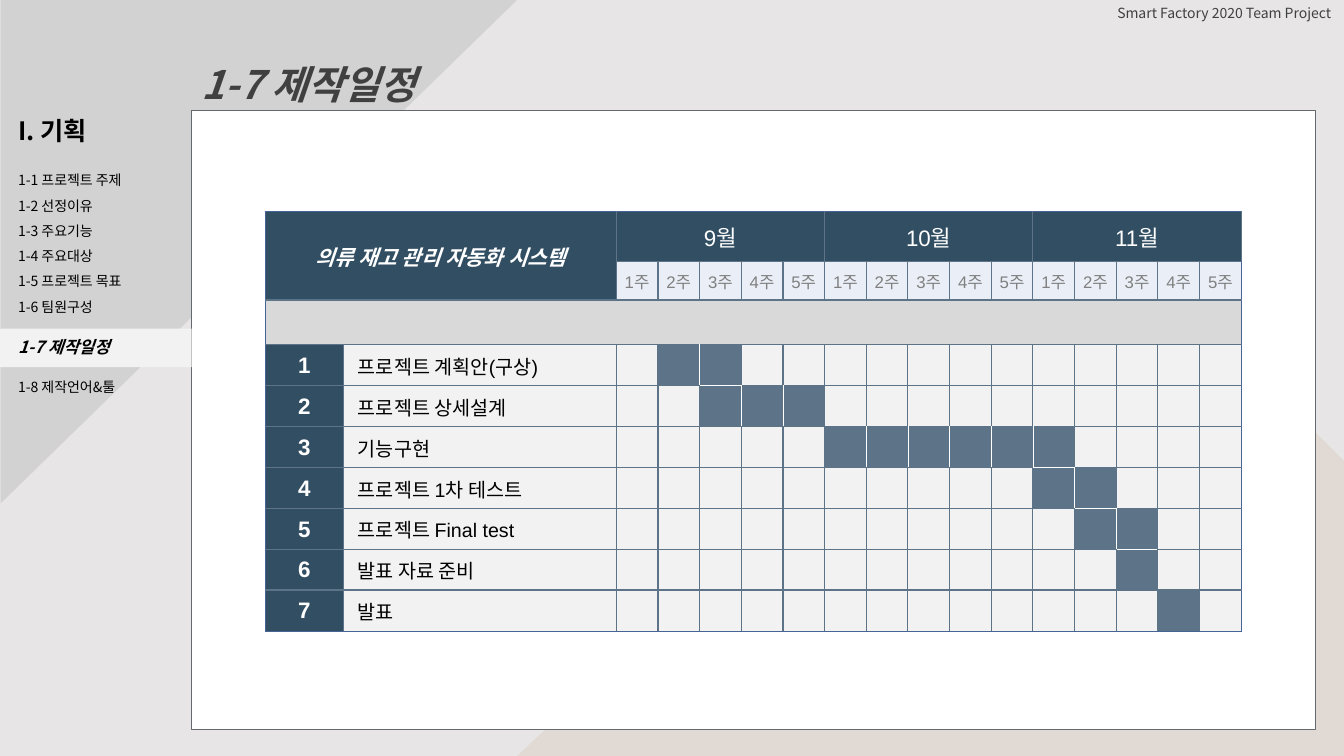
from lxml.etree import SubElement
from pptx import Presentation
from pptx.dml.color import RGBColor
from pptx.enum.shapes import MSO_SHAPE
from pptx.enum.text import MSO_ANCHOR, MSO_AUTO_SIZE, PP_ALIGN
from pptx.oxml.ns import qn
from pptx.util import Cm, Pt

BACKGROUND = RGBColor(0xE7, 0xE5, 0xE6)
BEIGE = RGBColor(0xE1, 0xDA, 0xD4)
CORNER = RGBColor(0xD2, 0xD2, 0xD2)
WHITE = RGBColor(0xFF, 0xFF, 0xFF)
BLACK = RGBColor(0, 0, 0)
DARK = RGBColor(0x40, 0x40, 0x40)
PANEL_LINE = RGBColor(0x64, 0x69, 0x6D)
LIGHT = RGBColor(0xF2, 0xF2, 0xF2)
NAVY = RGBColor(0x32, 0x4E, 0x63)
STEEL = RGBColor(0x5D, 0x73, 0x88)
OUTER = RGBColor(0x47, 0x64, 0x97)
WEEK_FILL = RGBColor(0xEA, 0xEF, 0xF7)
WEEK_TEXT = RGBColor(0x80, 0x80, 0x80)
SPACER = RGBColor(0xD9, 0xD9, 0xD9)

# text, size, bold, italic, space before
SIDE_LIST = [
    ("I. 기획", 18, True, False, 0),
    ("1-1 프로젝트 주제", 10, False, False, 18.5),
    ("1-2 선정이유", 10, False, False, 6),
    ("1-3 주요기능", 10, False, False, 6),
    ("1-4 주요대상", 10, False, False, 6),
    ("1-5 프로젝트 목표", 10, False, False, 6),
    ("1-6 팀원구성", 10, False, False, 6),
    ("1-7 제작일정", 12, True, True, 15.5),
    ("1-8 제작언어&툴", 10, False, False, 15.5),
]
MONTHS = ["9월", "10월", "11월"]
WEEKS_PER_MONTH = 5
# task, first week, last week (counted from 0)
TASKS = [
    ("프로젝트 계획안(구상)", 1, 2),
    ("프로젝트 상세설계", 2, 4),
    ("기능구현", 5, 10),
    ("프로젝트 1차 테스트", 10, 11),
    ("프로젝트 Final test", 11, 12),
    ("발표 자료 준비", 12, 12),
    ("발표", 13, 13),
]
FIRST_WEEK_COL, SPACER_ROW, FIRST_TASK_ROW = 4, 2, 3
COL_WIDTHS = [1.98, 3.23, 2.59] + [1.05] * 16
ROW_HEIGHTS = [1.25, 0.98, 1.13] + [1.03] * len(TASKS)


def is_busy(row, col):
    task = row - FIRST_TASK_ROW
    if not 0 <= task < len(TASKS):
        return False
    return TASKS[task][1] <= col - FIRST_WEEK_COL <= TASKS[task][2]


def edge_style(row, col, next_row, next_col):
    """Return the colour and width of the border towards a neighbouring cell."""
    if not (0 <= next_row < len(ROW_HEIGHTS) and 0 <= next_col < len(COL_WIDTHS)):
        return OUTER, 0.5
    if row == next_row == SPACER_ROW:
        return None, 0
    if is_busy(row, col) and is_busy(next_row, next_col):
        return WHITE, 0.5
    return STEEL, 1


class SlideBuilder:
    font = "Noto Sans CJK KR"
    table_font = "Arial"

    def __init__(self, slide):
        self.slide = slide
        self.shapes = slide.shapes
        slide.background.fill.solid()
        slide.background.fill.fore_color.rgb = BACKGROUND

    def paint(self, sp, fill, line=None):
        sp.shadow.inherit = False
        sp.fill.solid()
        sp.fill.fore_color.rgb = fill
        if line is None:
            sp.line.fill.background()
        else:
            sp.line.color.rgb = line
            sp.line.width = Pt(1)

    def shape(self, kind, left, top, width, height, fill, line=None, rotation=0):
        sp = self.shapes.add_shape(kind, Cm(left), Cm(top), Cm(width), Cm(height))
        sp.rotation = rotation
        self.paint(sp, fill, line)

    def polygon(self, points, fill):
        corners = [(Cm(x), Cm(y)) for x, y in points]
        builder = self.shapes.build_freeform(*corners[0])
        builder.add_line_segments(corners[1:])
        self.paint(builder.convert_to_shape(), fill)

    def format(self, p, size, color, bold=False, italic=False, font=font):
        for r in p.runs:
            r.font.name, r.font.size = font, Pt(size)
            r.font.bold, r.font.italic = bold, italic
            r.font.color.rgb = color
            if font == self.font:
                SubElement(r.font._element, qn("a:ea"), typeface=font)

    def place(self, sp, left, top, width, height):
        """Move a placeholder and bring it to the front."""
        sp.left, sp.top, sp.width, sp.height = Cm(left), Cm(top), Cm(width), Cm(height)
        self.shapes.element.append(sp.element)
        tf = sp.text_frame
        tf.auto_size = MSO_AUTO_SIZE.NONE
        tf.vertical_anchor = MSO_ANCHOR.TOP
        return tf

    def title(self, text, *box):
        tf = self.place(self.shapes.title, *box)
        tf.text = text
        p = tf.paragraphs[0]
        p.alignment = PP_ALIGN.LEFT
        p.line_spacing = 1.5
        self.format(p, 28, DARK, True, True)

    def side_list(self, items, *box):
        tf = self.place(self.slide.placeholders[1], *box)
        tf.word_wrap = False
        tf.text = "\n".join(item[0] for item in items)
        for p, (_, size, bold, italic, before) in zip(tf.paragraphs, items):
            pPr = p._p.get_or_add_pPr()
            pPr.set("marL", "0")
            pPr.set("indent", "0")
            SubElement(pPr, qn("a:buNone"))
            p.space_before = Pt(before)
            self.format(p, size, BLACK, bold, italic)

    def header(self, text, left, top, width, height):
        tf = self.shapes.add_textbox(Cm(left), Cm(top), Cm(width), Cm(height)).text_frame
        tf.word_wrap = True
        tf.margin_right = Cm(0.32)
        tf.text = text
        tf.paragraphs[0].alignment = PP_ALIGN.RIGHT
        self.format(tf.paragraphs[0], 10, DARK)

    def cell(self, cell, row, col, fill):
        """Give a cell its borders, fill and tight margins."""
        tcPr = cell._tc.get_or_add_tcPr()
        for tag, dr, dc in (("L", 0, -1), ("R", 0, 1), ("T", -1, 0), ("B", 1, 0)):
            color, width = edge_style(row, col, row + dr, col + dc)
            ln = SubElement(tcPr, qn("a:ln" + tag), w=str(Pt(width)))
            if color is None:
                SubElement(ln, qn("a:noFill"))
            else:
                SubElement(SubElement(ln, qn("a:solidFill")), qn("a:srgbClr"), val=str(color))
        cell.fill.solid()
        cell.fill.fore_color.rgb = fill
        cell.vertical_anchor = MSO_ANCHOR.MIDDLE
        cell.margin_left = cell.margin_right = cell.margin_top = Cm(0.03)
        cell.margin_bottom = 0

    def cell_text(self, cell, text, size, color, bold=False, italic=False, align=PP_ALIGN.CENTER):
        cell.text_frame.text = text
        p = cell.text_frame.paragraphs[0]
        p.alignment = align
        self.format(p, size, color, bold, italic, self.table_font)

    def schedule(self, left, top):
        table = self.shapes.add_table(
            len(ROW_HEIGHTS), len(COL_WIDTHS), Cm(left), Cm(top),
            Cm(sum(COL_WIDTHS)), Cm(sum(ROW_HEIGHTS))).table
        table.first_row = table.horz_banding = False
        for column, width in zip(table.columns, COL_WIDTHS):
            column.width = Cm(width)
        for row, height in zip(table.rows, ROW_HEIGHTS):
            row.height = Cm(height)
        for row in range(len(ROW_HEIGHTS)):
            for col in range(len(COL_WIDTHS)):
                if row < SPACER_ROW:
                    fill = WEEK_FILL if row and col >= FIRST_WEEK_COL else NAVY
                elif row == SPACER_ROW:
                    fill = SPACER
                elif col == 0:
                    fill = NAVY
                else:
                    fill = STEEL if is_busy(row, col) else LIGHT
                self.cell(table.cell(row, col), row, col, fill)

        table.cell(0, 0).merge(table.cell(1, FIRST_WEEK_COL - 1))
        self.cell_text(table.cell(0, 0), "의류 재고 관리 자동화 시스템", 15, WHITE, True, True)
        for m, month in enumerate(MONTHS):
            col = FIRST_WEEK_COL + m * WEEKS_PER_MONTH
            table.cell(0, col).merge(table.cell(0, col + WEEKS_PER_MONTH - 1))
            self.cell_text(table.cell(0, col), month, 16, WHITE)
            for week in range(WEEKS_PER_MONTH):
                self.cell_text(table.cell(1, col + week), f"{week + 1}주", 12, WEEK_TEXT)
        for i, (task, _, _) in enumerate(TASKS):
            row = FIRST_TASK_ROW + i
            self.cell_text(table.cell(row, 0), str(i + 1), 16, WHITE, True)
            name = table.cell(row, 1)
            name.merge(table.cell(row, FIRST_WEEK_COL - 1))
            name.margin_left = Cm(0.36)
            self.cell_text(name, task, 14, BLACK, align=PP_ALIGN.LEFT)


def main():
    prs = Presentation()
    prs.slide_width, prs.slide_height = Cm(33.87), Cm(19.05)
    s = SlideBuilder(prs.slides.add_slide(prs.slide_layouts[1]))
    s.polygon([(26.52, 6.45), (28.7, 6.45), (33.87, 11.61), (33.87, 19.05), (13.03, 19.05)], BEIGE)
    s.shape(MSO_SHAPE.RIGHT_TRIANGLE, 0.18, -0.18, 12.7, 13.03, CORNER, rotation=90)
    s.shape(MSO_SHAPE.RECTANGLE, 4.83, 2.79, 28.32, 15.6, WHITE, PANEL_LINE)
    s.title("1-7 제작일정", 4.83, 0.81, 16.94, 2.06)
    s.shape(MSO_SHAPE.RECTANGLE, 0, 8.28, 4.83, 0.97, LIGHT)
    s.side_list(SIDE_LIST, 0.2, 2.79, 3.43, 7.37)
    s.header("Smart Factory 2020 Team Project", 27.84, 0, 6.02, 0.69)
    s.schedule(6.68, 5.33)
    prs.save("out.pptx")


if __name__ == "__main__":
    main()
